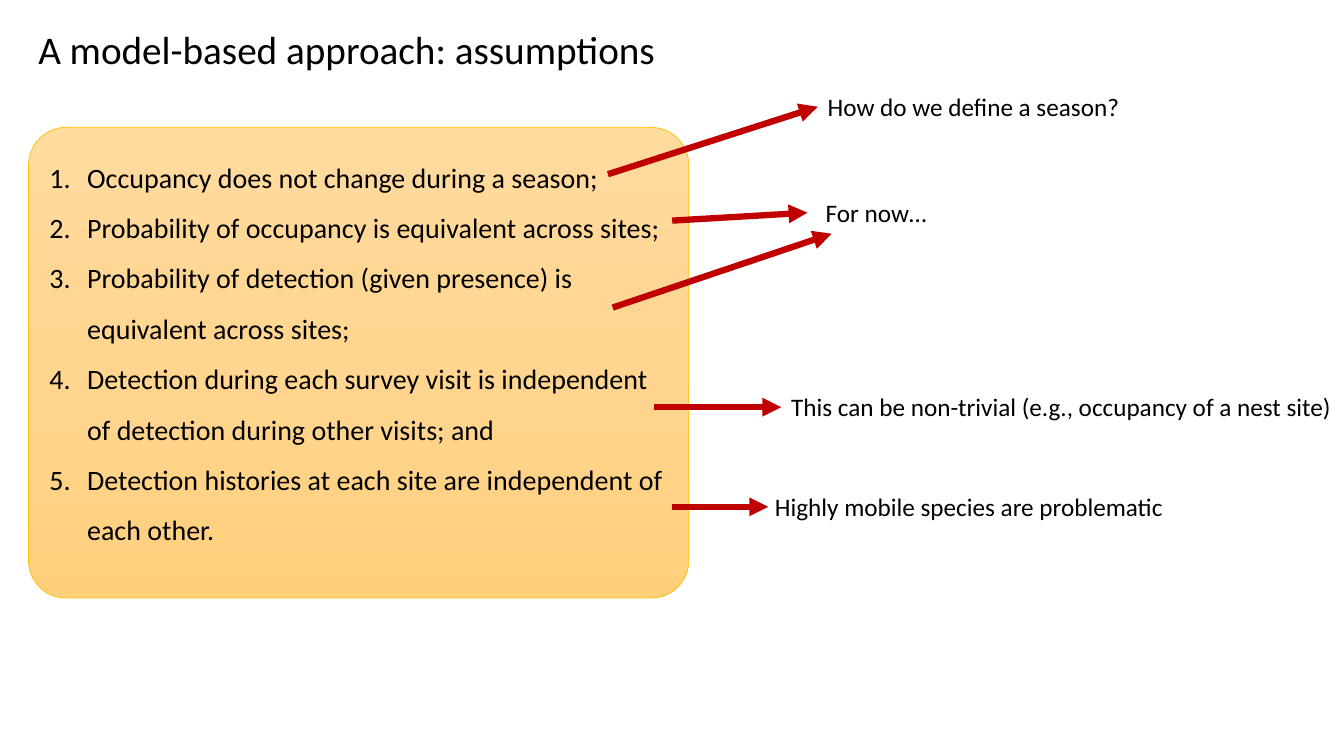
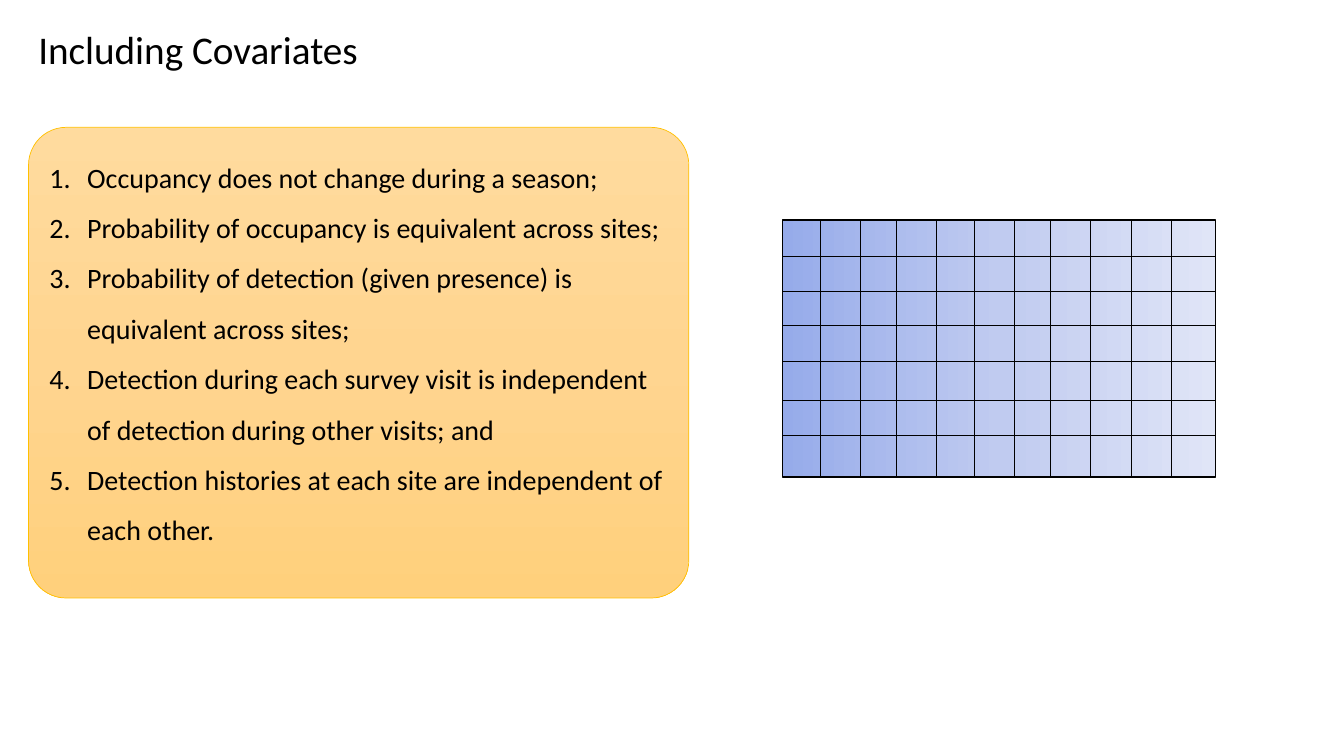
import copy

import pptx
import pptx.dml.color
import pptx.enum.shapes
import pptx.enum.text
import pptx.oxml
import pptx.oxml.ns
import pptx.util
from pptx.util import Cm, Pt

FONT = "Calibri"
COLORS = {"text": "000000", "arrow": "C00000", "panel_edge": "FFC000", "grid": "000000"}
PANEL_SHADES = ("FFDB9E", "FFD590", "FFD07C")
COVARIATE_SHADES = ("96ABEA", "C0CBF0", "E0E5F7")

TITLES = ("A model-based approach: assumptions", "Including Covariates")
ASSUMPTIONS = (
    "Occupancy does not change during a season;",
    "Probability of occupancy is equivalent across sites;",
    "Probability of detection (given presence) is equivalent across sites;",
    "Detection during each survey visit is independent of detection during other visits; and",
    "Detection histories at each site are independent of each other.",
)

# Lengths in centimetres: left, top, width, height
TITLE_BOX = (0.71, 0.51, 32.56, 1.45)
PANEL_BOX = (0.72, 3.21, 16.64, 11.86)
REMARKS = (
    ("How do we define a season?", (20.61, 2.18, 7.95, 1.02)),
    ("For now…", (20.56, 4.85, 3.07, 1.02)),
    ("This can be non-trivial (e.g., occupancy of a nest site)", (19.69, 9.73, 14.27, 1.02)),
    ("Highly mobile species are problematic", (19.28, 12.25, 10.41, 1.02)),
)
# Start x, start y, end x, end y
ARROWS = (
    (15.32, 4.39, 20.61, 2.69),
    (16.94, 5.56, 20.35, 5.36),
    (15.44, 7.75, 20.96, 5.89),
    (16.48, 10.26, 19.69, 10.26),
    (16.93, 12.77, 19.36, 12.77),
)
# The study area is divided by hand, so its cells differ slightly in size
AREA_BOX = (19.72, 5.54, 10.92, 6.48)
COLUMN_EDGES = (20.68, 21.69, 22.6, 23.6, 24.56, 25.56, 26.47, 27.48, 28.52, 29.51)
ROW_EDGES = (6.45, 7.34, 8.21, 9.1, 10.08, 10.97)


def rgb(value):
    return pptx.dml.color.RGBColor.from_string(value)


def in_cm(lengths):
    return [Cm(length) for length in lengths]


def format_text(paragraph, size):
    paragraph.alignment = pptx.enum.text.PP_ALIGN.LEFT
    for run in paragraph.runs:
        run.font.name = FONT
        run.font.size = Pt(size)
        run.font.color.rgb = rgb(COLORS["text"])


def add_shaded(shapes, kind, box, shades, angle, edge, edge_width):
    """Add a shape with an evenly spaced three-colour gradient."""
    shape = shapes.add_shape(kind, *in_cm(box))
    shape.shadow.inherit = False
    shape.fill.gradient()
    stops = shape._element.spPr.find(".//" + pptx.oxml.ns.qn("a:gsLst"))
    stops.insert(1, copy.deepcopy(stops[0]))
    for index, (stop, shade) in enumerate(zip(shape.fill.gradient_stops, shades)):
        stop.position = index / (len(shades) - 1)
        stop.color.rgb = rgb(shade)
    shape.fill.gradient_angle = angle
    shape.line.color.rgb = rgb(edge)
    shape.line.width = Pt(edge_width)
    return shape


def add_line(shapes, ends, color, width, arrow=False):
    line = shapes.add_connector(pptx.enum.shapes.MSO_CONNECTOR.STRAIGHT, *in_cm(ends))
    line.line.color.rgb = rgb(color)
    line.line.width = Pt(width)
    properties = line._element.spPr
    if arrow:
        outline = properties.find(pptx.oxml.ns.qn("a:ln"))
        outline.append(pptx.oxml.parse_xml(
            f'<a:tailEnd {pptx.oxml.ns.nsdecls("a")} type="triangle"/>'))
    properties.append(pptx.oxml.parse_xml(f'<a:effectLst {pptx.oxml.ns.nsdecls("a")}/>'))


def add_assumptions(slide):
    panel = add_shaded(slide.shapes, pptx.enum.shapes.MSO_SHAPE.ROUNDED_RECTANGLE,
                       PANEL_BOX, PANEL_SHADES, 270, COLORS["panel_edge"], 0.5)
    panel.adjustments[0] = 0.08
    frame = panel.text_frame
    frame.word_wrap = True
    frame.vertical_anchor = pptx.enum.text.MSO_ANCHOR.TOP
    frame.text = "\n".join(ASSUMPTIONS)
    for paragraph in frame.paragraphs:
        properties = paragraph._p.get_or_add_pPr()
        properties.set("marL", str(Cm(0.95)))
        properties.set("indent", str(-Cm(0.95)))
        properties.append(pptx.oxml.parse_xml(
            f'<a:buAutoNum {pptx.oxml.ns.nsdecls("a")} type="arabicPeriod"/>'))
        paragraph.line_spacing = 1.5
        format_text(paragraph, 20)


def add_slide(deck, heading):
    slide = deck.slides.add_slide(deck.slide_layouts.get_by_name("Title Only"))
    title = slide.shapes.title
    title.left, title.top, title.width, title.height = in_cm(TITLE_BOX)
    title.text_frame.text = heading
    title.text_frame.vertical_anchor = pptx.enum.text.MSO_ANCHOR.TOP
    title.text_frame.auto_size = pptx.enum.text.MSO_AUTO_SIZE.SHAPE_TO_FIT_TEXT
    format_text(title.text_frame.paragraphs[0], 28)
    add_assumptions(slide)
    return slide


def add_remarks(slide):
    for ends in ARROWS:
        add_line(slide.shapes, ends, COLORS["arrow"], 4.5, arrow=True)
    for remark, box in REMARKS:
        frame = slide.shapes.add_textbox(*in_cm(box)).text_frame
        frame.text = remark
        frame.word_wrap = False
        frame.auto_size = pptx.enum.text.MSO_AUTO_SIZE.SHAPE_TO_FIT_TEXT
        format_text(frame.paragraphs[0], 18)


def add_study_area(slide):
    area = slide.shapes.add_group_shape().shapes
    add_shaded(area, pptx.enum.shapes.MSO_SHAPE.RECTANGLE, AREA_BOX,
               COVARIATE_SHADES, 0, COLORS["grid"], 1)
    left, top, width, height = AREA_BOX
    columns = [(x, top, x, top + height) for x in COLUMN_EDGES]
    rows = [(left, y, left + width, y) for y in ROW_EDGES]
    for ends in columns + rows:
        add_line(area, ends, COLORS["grid"], 0.5)


def main():
    deck = pptx.Presentation()
    deck.slide_width, deck.slide_height = Cm(33.87), Cm(19.05)
    for heading, add_details in zip(TITLES, (add_remarks, add_study_area)):
        add_details(add_slide(deck, heading))
    deck.save("out.pptx")


if __name__ == "__main__":
    main()
